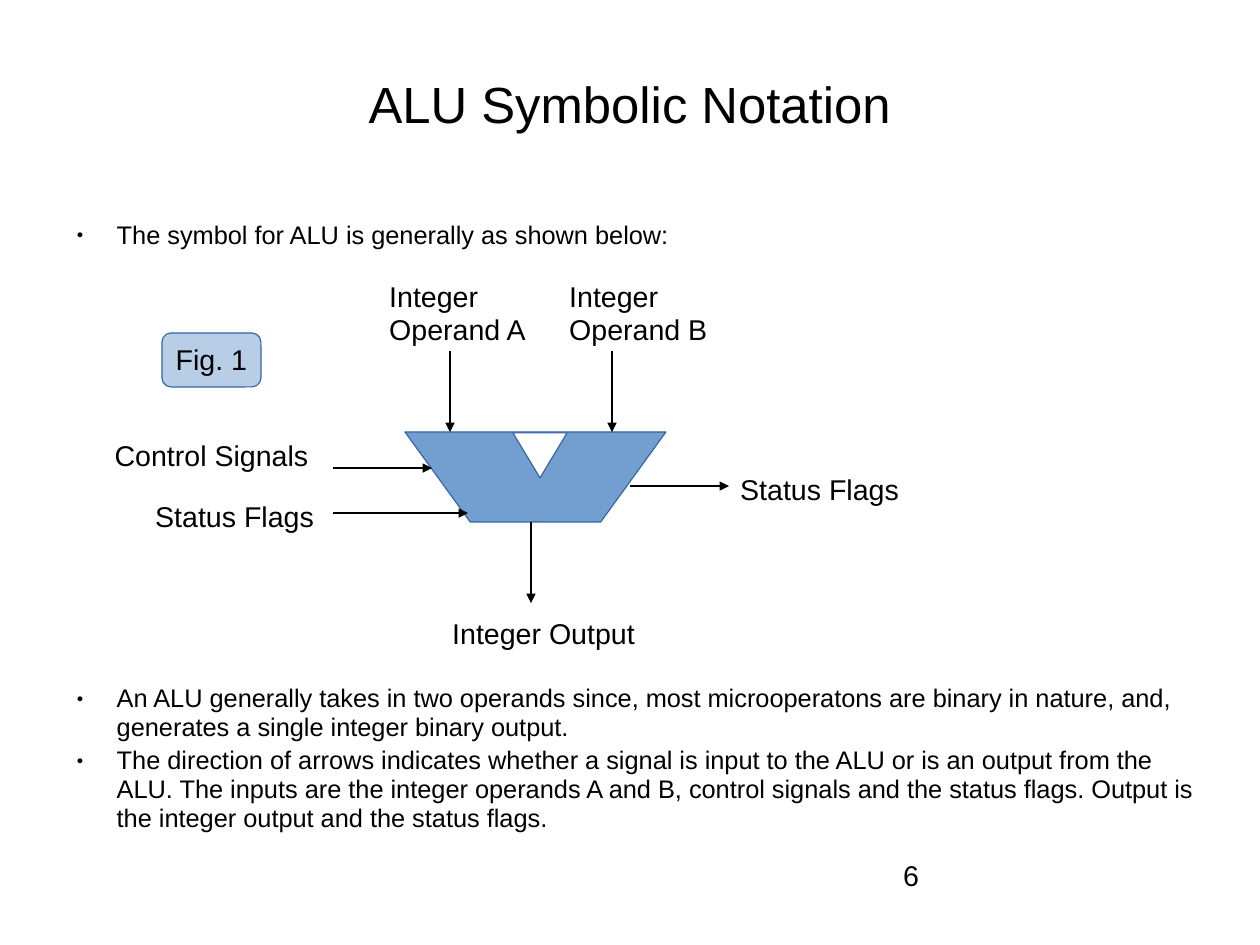
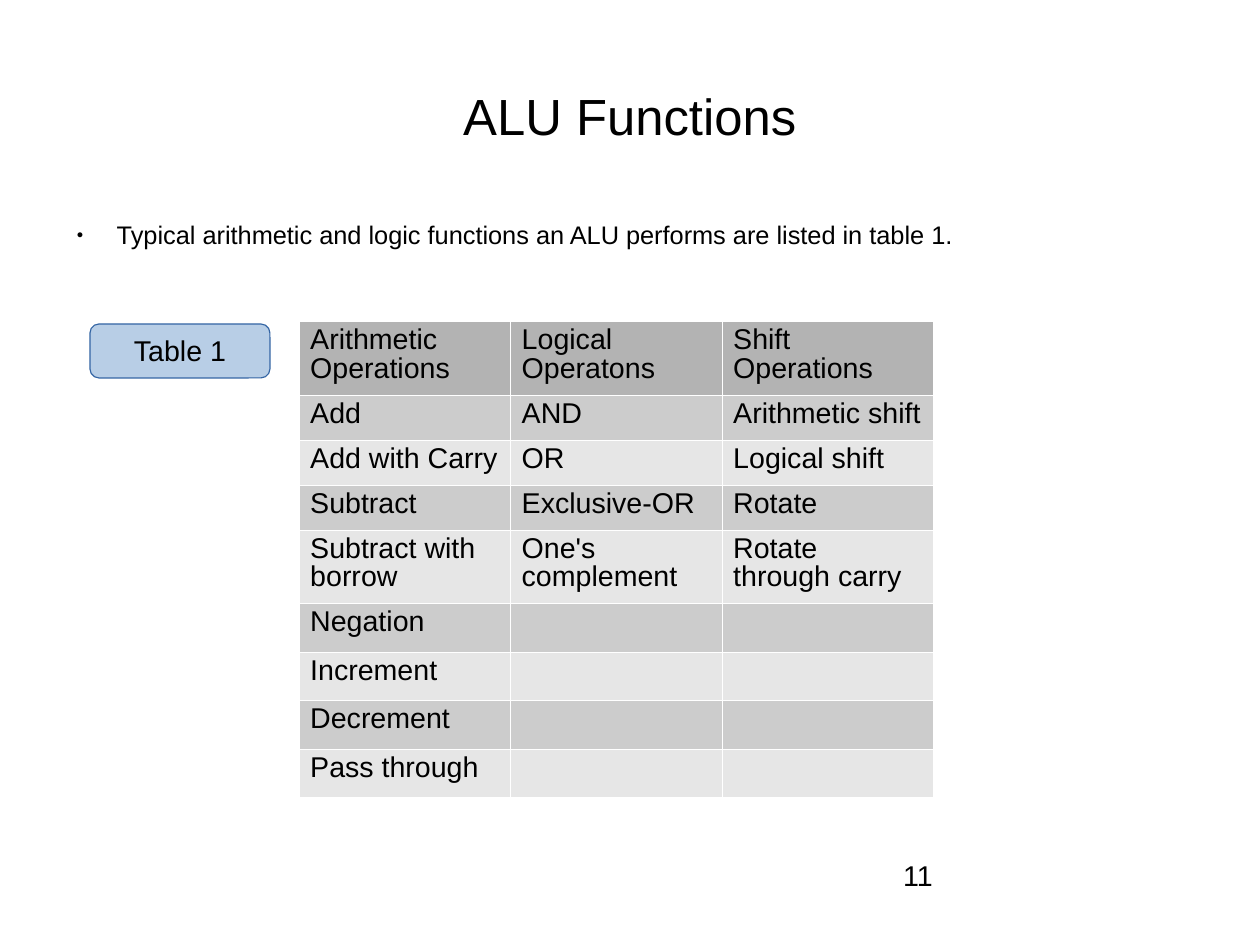
from lxml import etree
from pptx import Presentation
from pptx.dml.color import RGBColor
from pptx.enum.shapes import MSO_CONNECTOR as Link, MSO_SHAPE as Shape
from pptx.enum.text import MSO_ANCHOR as Anchor, MSO_AUTO_SIZE as AutoSize, PP_ALIGN as Align
from pptx.oxml.ns import qn
from pptx.util import Cm, Inches, Pt

# Page grid: 140 columns by 105 rows of 2 mm
COLUMNS, ROWS = 140, 105
BLACK, WHITE = "000000", "FFFFFF"
BLUE, OUTLINE = "729FCF", "3465A4"
HEADER_GREY, DARK_GREY, LIGHT_GREY = "B3B3B3", "CCCCCC", "E6E6E6"
LABEL_INSETS = (0.1, 0.06, 0.1, 0.05)


def grid(*cells):
    return [Cm(0.2 * cell) for cell in cells]


def color(value):
    return RGBColor.from_string(value)


def sub(parent, tag, **attributes):
    return etree.SubElement(parent, qn(tag), attributes)


class Deck:
    font, line_width = "Arial", 0.75
    title_size, list_size, label_size = 32, 16, 18

    def __init__(self):
        self.prs = Presentation()
        self.prs.slide_width, self.prs.slide_height = grid(COLUMNS, ROWS)

    # Text basics
    def frame(self, frame, insets=(0, 0, 0, 0), anchor=Anchor.TOP, wrap=True):
        frame.auto_size = AutoSize.NONE
        frame.word_wrap = wrap
        frame.vertical_anchor = anchor
        (frame.margin_left, frame.margin_top,
         frame.margin_right, frame.margin_bottom) = map(Inches, insets)
        return frame.paragraphs[0]

    def add_text(self, paragraph, text, size, align=Align.LEFT, spacing=0.94):
        paragraph.alignment = align
        paragraph.line_spacing = spacing
        run = paragraph.add_run()
        run.text = text
        run.font.name = self.font
        run.font.size = Pt(size)
        run.font.bold = False
        run.font.color.rgb = color(BLACK)

    def place(self, shape, *box):
        shape.left, shape.top, shape.width, shape.height = grid(*box)

    # Slide with title and page number
    def new_slide(self, title, number, title_height):
        self.slide = self.prs.slides.add_slide(self.prs.slide_layouts[1])
        heading = self.slide.shapes.title
        self.place(heading, 7, 4.2, 126, title_height)
        line = self.frame(heading.text_frame, (0, 0.03, 0, 0), Anchor.MIDDLE)
        self.add_text(line, title, self.title_size, Align.CENTER)
        self.label(number, 100.35, 95.65, 32.5, 7.2, insets=(0, 0, 0, 0))

    # Bulleted list; each item is its text and the gap above it in points
    def bullets(self, items, height):
        body = self.slide.placeholders[1]
        self.place(body, 7, 24.5, 126, height)
        paragraph = self.frame(body.text_frame, (0, 0.01, 0, 0))
        for index, (text, gap) in enumerate(items):
            if index:
                paragraph = body.text_frame.add_paragraph()
            props = paragraph._p.get_or_add_pPr()
            props.set("marL", str(Inches(0.47)))
            props.set("indent", str(Inches(-0.35)))
            sub(sub(props, "a:buClr"), "a:srgbClr", val=BLACK)
            sub(props, "a:buSzPct", val="45000")
            sub(props, "a:buFont", typeface=self.font)
            sub(props, "a:buChar", char="●")
            paragraph.space_before = Pt(gap)
            paragraph.space_after = Pt(2.9)
            self.add_text(paragraph, text, self.list_size)

    def label(self, text, x, y, width, height=4.8, align=Align.LEFT, insets=LABEL_INSETS):
        box = self.slide.shapes.add_textbox(*grid(x, y, width, height))
        self.add_text(self.frame(box.text_frame, insets), text, self.label_size, align)

    # Shapes
    def paint(self, shape, fill):
        shape.shadow.inherit = False
        shape.fill.solid()
        shape.fill.fore_color.rgb = color(fill)
        shape.line.color.rgb = color(OUTLINE)
        shape.line.width = Pt(self.line_width)

    def polygon(self, points, fill):
        start, *others = [grid(*point) for point in points]
        builder = self.slide.shapes.build_freeform(*start)
        builder.add_line_segments(others, close=True)
        self.paint(builder.convert_to_shape(), fill)

    def notch(self, *box):
        triangle = self.slide.shapes.add_shape(Shape.ISOSCELES_TRIANGLE, *grid(*box))
        triangle.rotation = 180
        self.paint(triangle, WHITE)

    def badge(self, text, x, y, width):
        shape = self.slide.shapes.add_shape(Shape.ROUNDED_RECTANGLE, *grid(x, y, width, 6))
        self.paint(shape, BLUE)
        tint = shape._element.spPr.find(qn("a:solidFill"))[0]
        sub(tint, "a:alpha", val="50000")
        line = self.frame(shape.text_frame, LABEL_INSETS, Anchor.MIDDLE, wrap=False)
        self.add_text(line, text, self.label_size, Align.CENTER)

    def arrow(self, *ends):
        connector = self.slide.shapes.add_connector(Link.STRAIGHT, *grid(*ends))
        connector.line.color.rgb = color(BLACK)
        connector.line.width = Pt(self.line_width)
        sub(connector.line._get_or_add_ln(), "a:tailEnd", type="triangle")
        sub(connector._element.spPr, "a:effectLst")

    # Table with a header row and alternating greys
    def table(self, rows, x, y, column_width, heights):
        columns = len(rows[0])
        box = grid(x, y, column_width * columns, sum(heights))
        table = self.slide.shapes.add_table(len(rows), columns, *box).table
        table.first_row = table.horz_banding = False
        for column in table.columns:
            column.width = Cm(0.2 * column_width)
        for r, (texts, height) in enumerate(zip(rows, heights)):
            table.rows[r].height = Cm(0.2 * height)
            fill = (DARK_GREY if r % 2 else LIGHT_GREY) if r else HEADER_GREY
            for c in range(columns):
                cell = table.cell(r, c)
                self.cell_style(cell, fill)
                if c < len(texts):
                    self.add_text(cell.text_frame.paragraphs[0], texts[c],
                                  self.label_size, spacing=0.89)

    def cell_style(self, cell, fill):
        props = cell._tc.get_or_add_tcPr()
        for side in ("a:lnL", "a:lnR", "a:lnT", "a:lnB"):
            border = sub(props, side, w=str(Pt(0.06)))
            sub(sub(border, "a:solidFill"), "a:srgbClr", val=WHITE)
        cell.fill.solid()
        cell.fill.fore_color.rgb = color(fill)
        cell.margin_left = cell.margin_right = Inches(0.1)
        cell.margin_top = cell.margin_bottom = Inches(0.05)


def symbol_slide(deck):
    deck.new_slide("ALU Symbolic Notation", "6", 14.85)
    deck.bullets([
        ("The symbol for ALU is generally as shown below:", 0),
        ("An ALU generally takes in two operands since, most microoperatons are binary "
         "in nature, and, generates a single integer binary output.", 271),
        ("The direction of arrows indicates whether a signal is input to the ALU or is an "
         "output from the ALU. The inputs are the integer operands A and B, control signals "
         "and the status flags. Output is the integer output and the status flags.", 0),
    ], 76.5)

    # ALU body
    left, right, top, bottom, slant = 45, 74, 48, 58, 7.25
    deck.polygon([(left, top), (right, top), (right - slant, bottom),
                  (left + slant, bottom)], BLUE)
    deck.notch(57, top + 0.1, 6, 5)

    # Operands in, result out
    for operand, label_x, arrow_x in (("A", 42, 50), ("B", 62, 68)):
        deck.label(f"Integer Operand {operand}", label_x, 30.6, 18, 8.4)
        deck.arrow(arrow_x, top - 9, arrow_x, top)
    deck.arrow(59, bottom, 59, bottom + 9)
    deck.label("Integer Output", 49, 68, 25)

    # Control and status signals
    for start, end, y in ((37, 48, 52), (37, 52, 57), (70, 81, 54)):
        deck.arrow(start, y, end, y)
    deck.label("Control Signals", 11, 48.2, 25, align=Align.CENTER)
    deck.label("Status Flags", 16, 55, 23)
    deck.label("Status Flags", 81, 52, 24)
    deck.badge("Fig. 1", 18, 37, 11)


def functions_slide(deck):
    deck.new_slide("ALU Functions", "11", 17.5)
    deck.bullets([("Typical arithmetic and logic functions an ALU performs "
                   "are listed in table 1.", 0)], 61)
    operations = [
        ("Arithmetic Operations", "Logical Operatons", "Shift Operations"),
        ("Add", "AND", "Arithmetic shift"),
        ("Add with Carry", "OR", "Logical shift"),
        ("Subtract", "Exclusive-OR", "Rotate"),
        ("Subtract with borrow", "One's complement", "Rotate through carry"),
        ("Negation",),
        ("Increment",),
        ("Decrement",),
        ("Pass through",),
    ]
    two_lines, one_line, single = 8.15, 5, 5.4
    heights = [two_lines] + [one_line] * 3 + [two_lines] + [single] * 4
    deck.table(operations, 33.2, 35.7, 23.5, heights)
    deck.badge("Table 1", 10, 36, 20)


def main():
    deck = Deck()
    symbol_slide(deck)
    functions_slide(deck)
    deck.prs.save("out.pptx")


if __name__ == "__main__":
    main()
